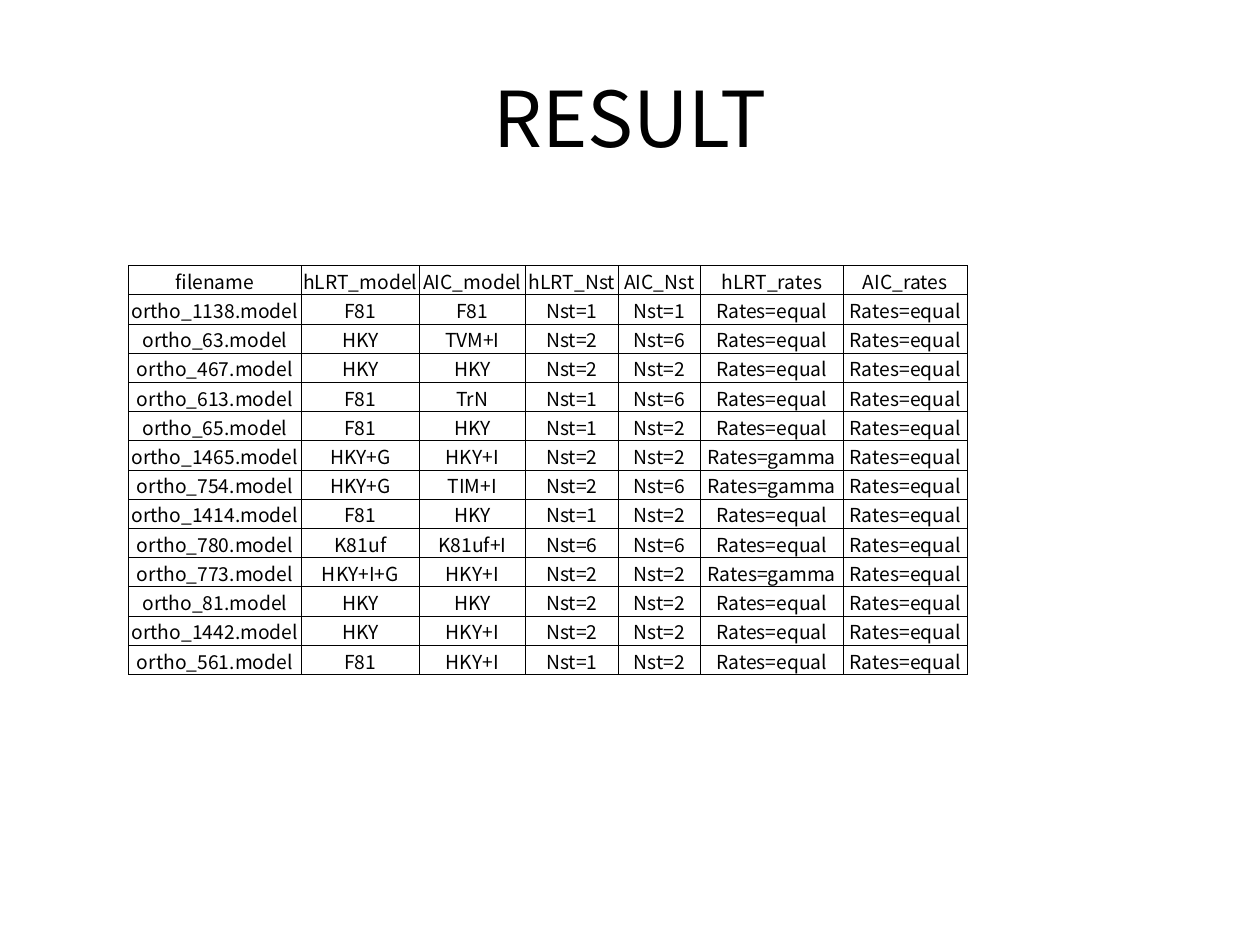
from lxml.etree import SubElement
from pptx import Presentation
from pptx.dml.color import RGBColor
from pptx.enum.text import MSO_ANCHOR, PP_ALIGN
from pptx.oxml.ns import qn
from pptx.util import Pt

COLOURS = {"ink": "000000", "paper": "FFFFFF"}
HEADINGS = ["filename", "hLRT_model", "AIC_model", "hLRT_Nst", "AIC_Nst",
            "hLRT_rates", "AIC_rates"]
COLUMN_WIDTHS = [98.9, 67.4, 60.6, 53.1, 46.9, 81.7, 70.9]
ROW_HEIGHT = 16.7
FITS = [
    (1138, "F81", "F81", 1, 1, "equal"),
    (63, "HKY", "TVM+I", 2, 6, "equal"),
    (467, "HKY", "HKY", 2, 2, "equal"),
    (613, "F81", "TrN", 1, 6, "equal"),
    (65, "F81", "HKY", 1, 2, "equal"),
    (1465, "HKY+G", "HKY+I", 2, 2, "gamma"),
    (754, "HKY+G", "TIM+I", 2, 6, "gamma"),
    (1414, "F81", "HKY", 1, 2, "equal"),
    (780, "K81uf", "K81uf+I", 6, 6, "equal"),
    (773, "HKY+I+G", "HKY+I", 2, 2, "gamma"),
    (81, "HKY", "HKY", 2, 2, "equal"),
    (1442, "HKY", "HKY+I", 2, 2, "equal"),
    (561, "F81", "HKY+I", 1, 2, "equal"),
]


class Deck:
    font = "Noto Sans CJK KR"
    border_width = 0.5
    cell_inset = 0.7

    def __init__(self, width, height):
        self.presentation = Presentation()
        self.presentation.slide_width = Pt(width)
        self.presentation.slide_height = Pt(height)
        self.slide = self.presentation.slides.add_slide(self.presentation.slide_layouts[6])
        self.slide.background.fill.solid()
        self.slide.background.fill.fore_color.rgb = RGBColor.from_string(COLOURS["paper"])

    def set_text(self, frame, text, size):
        paragraph = frame.paragraphs[0]
        paragraph.text = text
        paragraph.alignment = PP_ALIGN.CENTER
        paragraph.font.name = self.font
        paragraph.font.size = Pt(size)
        paragraph.font.color.rgb = RGBColor.from_string(COLOURS["ink"])

    def text(self, left, top, width, height, text, size):
        frame = self.slide.shapes.add_textbox(
            Pt(left), Pt(top), Pt(width), Pt(height)).text_frame
        frame.word_wrap = True
        frame.vertical_anchor = MSO_ANCHOR.MIDDLE
        self.set_text(frame, text, size)

    def outline(self, cell):
        properties = cell._tc.get_or_add_tcPr()
        for side in ("a:lnL", "a:lnR", "a:lnT", "a:lnB"):
            line = SubElement(properties, qn(side), w=str(Pt(self.border_width)))
            fill = SubElement(line, qn("a:solidFill"))
            SubElement(fill, qn("a:srgbClr"), val=COLOURS["ink"])

    def table(self, left, top, widths, row_height, rows, size):
        table = self.slide.shapes.add_table(
            len(rows), len(widths), Pt(left), Pt(top),
            Pt(sum(widths)), Pt(row_height * len(rows))).table
        table.first_row = False
        table.horz_banding = False
        for column, width in zip(table.columns, widths):
            column.width = Pt(width)
        for row, values in zip(table.rows, rows):
            row.height = Pt(row_height)
            for cell, value in zip(row.cells, values):
                cell.margin_left = cell.margin_right = cell.margin_top = Pt(self.cell_inset)
                cell.margin_bottom = Pt(0)
                cell.vertical_anchor = MSO_ANCHOR.MIDDLE
                self.set_text(cell.text_frame, value, size)
                self.outline(cell)
                cell.fill.background()


deck = Deck(720, 540)
deck.text(36, 21.6, 648, 90, "RESULT", 44)
result_rows = [HEADINGS] + [
    [f"ortho_{number}.model", hlrt_model, aic_model, f"Nst={hlrt_nst}",
     f"Nst={aic_nst}", f"Rates={hlrt_rates}", "Rates=equal"]
    for number, hlrt_model, aic_model, hlrt_nst, aic_nst, hlrt_rates in FITS
]
deck.table(73.4, 151.7, COLUMN_WIDTHS, ROW_HEIGHT, result_rows, 11)
deck.presentation.save("out.pptx")
